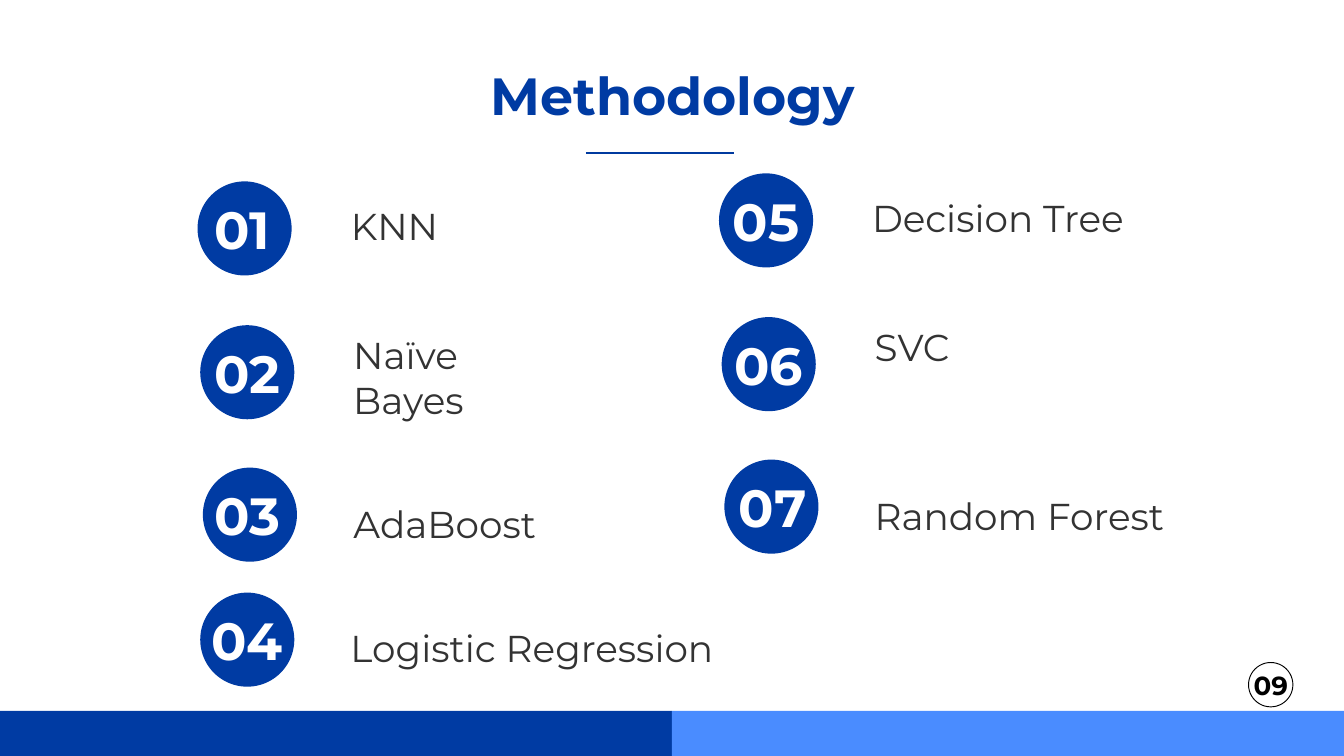
from pptx import Presentation
from pptx.dml.color import RGBColor
from pptx.enum.shapes import MSO_CONNECTOR, MSO_SHAPE
from pptx.enum.text import MSO_ANCHOR, MSO_AUTO_SIZE, PP_ALIGN
from pptx.oxml.ns import qn
from pptx.util import Inches, Pt
from lxml import etree

RECTANGLE, OVAL = MSO_SHAPE.RECTANGLE, MSO_SHAPE.OVAL
STRAIGHT = MSO_CONNECTOR.STRAIGHT
TOP, MIDDLE = MSO_ANCHOR.TOP, MSO_ANCHOR.MIDDLE
CENTER, JUSTIFY = PP_ALIGN.CENTER, PP_ALIGN.JUSTIFY
NO_FIT = MSO_AUTO_SIZE.NONE

COLORS = {"navy": "003BA3", "sky": "4A8CFF", "rule": "003A9F",
          "ink": "333333", "white": "FFFFFF", "black": "000000"}
WIDTH = 10
HEIGHT = WIDTH * 9 / 16
DISC = 0.7


def write(box, area, text, size, color, align, anchor=TOP, bold=False, inset=0.1):
    """Place a text holder and format its single paragraph."""
    box.left, box.top, box.width, box.height = [Inches(v) for v in area]
    frame = box.text_frame
    frame.text = text
    frame.word_wrap = True
    frame.auto_size = NO_FIT
    frame.vertical_anchor = anchor
    frame.margin_left = frame.margin_right = Inches(0.1)
    frame.margin_top = frame.margin_bottom = Inches(inset)
    para = frame.paragraphs[0]
    para.alignment = align
    para.space_before = Pt(0)
    font = para.runs[0].font
    font.name, font.size, font.bold = "Montserrat", Pt(size), bold
    font.color.rgb = RGBColor.from_string(COLORS[color])


def add_shape(kind, area, color):
    """Add a flat, borderless preset shape."""
    shape = page.shapes.add_shape(kind, *[Inches(v) for v in area])
    shape.shadow.inherit = False
    shape.fill.solid()
    shape.fill.fore_color.rgb = RGBColor.from_string(COLORS[color])
    shape.line.fill.background()
    return shape


deck = Presentation()
deck.slide_width, deck.slide_height = Inches(WIDTH), Inches(HEIGHT)
page = deck.slides.add_slide(deck.slide_layouts.get_by_name("Two Content"))

# Footer bands, one per half
for half, color in enumerate(("navy", "sky")):
    add_shape(RECTANGLE, (half * WIDTH / 2, 5.29, WIDTH / 2, HEIGHT - 5.29), color)

# Title and its rule
write(page.shapes.title, (2.83, 0.37, 4.35, 0.63), "Methodology", 28, "navy",
      CENTER, bold=True)
rule = page.shapes.add_connector(STRAIGHT, Inches(4.36), Inches(1.14),
                                 Inches(5.46), Inches(1.14))
rule.line.color.rgb = RGBColor.from_string(COLORS["rule"])
rule.line.width = Pt(1)
etree.SubElement(rule._element.spPr, qn("a:effectLst"))

# Numbered methods: label, label width, number nudge
methods = [("KNN", 1.08, -0.02), ("Naïve Bayes", 1.64, 0), ("AdaBoost", 1.57, -0.02),
           ("Logistic Regression", 3.04, 0), ("Decision Tree", 2.36, 0),
           ("SVC", 1.64, 0), ("Random Forest", 2.46, 0.01)]
# Rows: disc left, disc top, label left, label top, label height
rows = [(1.47, 1.35, 2.51, 1.41, 0.58), (1.49, 2.42, 2.53, 2.37, 0.8),
        (1.51, 3.48, 2.53, 3.63, 0.49), (1.49, 4.41, 2.51, 4.55, 0.49)]
column_step, column_rise = 3.88, 0.06
placeholders = {"KNN": page.placeholders[1], "AdaBoost": page.placeholders[2]}

for index, (label, label_width, nudge) in enumerate(methods):
    column, row = divmod(index, len(rows))
    disc_left, disc_top, label_left, label_top, label_height = rows[row]
    shift, rise = column * column_step, column * column_rise
    left, top = disc_left + shift, disc_top - rise

    add_shape(OVAL, (left, top, DISC, DISC), "navy")
    number = page.shapes.add_textbox(0, 0, 0, 0)
    write(number, (left - 0.04 + nudge, top + 0.14, DISC + 0.08, 0.42),
          f"{index + 1:02}", 28, "white", CENTER, MIDDLE, True)

    box = placeholders.get(label) or page.shapes.add_textbox(0, 0, 0, 0)
    write(box, (label_left + shift, label_top - rise, label_width, label_height),
          label, 20, "ink", JUSTIFY)
    if label in placeholders:
        properties = box.text_frame.paragraphs[0]._p.get_or_add_pPr()
        properties.set("marL", "0")
        properties.set("indent", "0")
        etree.SubElement(properties, qn("a:buNone"))

# Page number badge
badge = add_shape(OVAL, (9.29, 4.93, 0.33, 0.33), "white")
badge.line.color.rgb = RGBColor.from_string(COLORS["black"])
badge.line.width = Pt(0.5)
write(page.shapes.add_textbox(0, 0, 0, 0), (9.2, 4.93, 0.51, 0.34), "09", 14,
      "black", CENTER, bold=True, inset=0.05)

deck.save("out.pptx")
